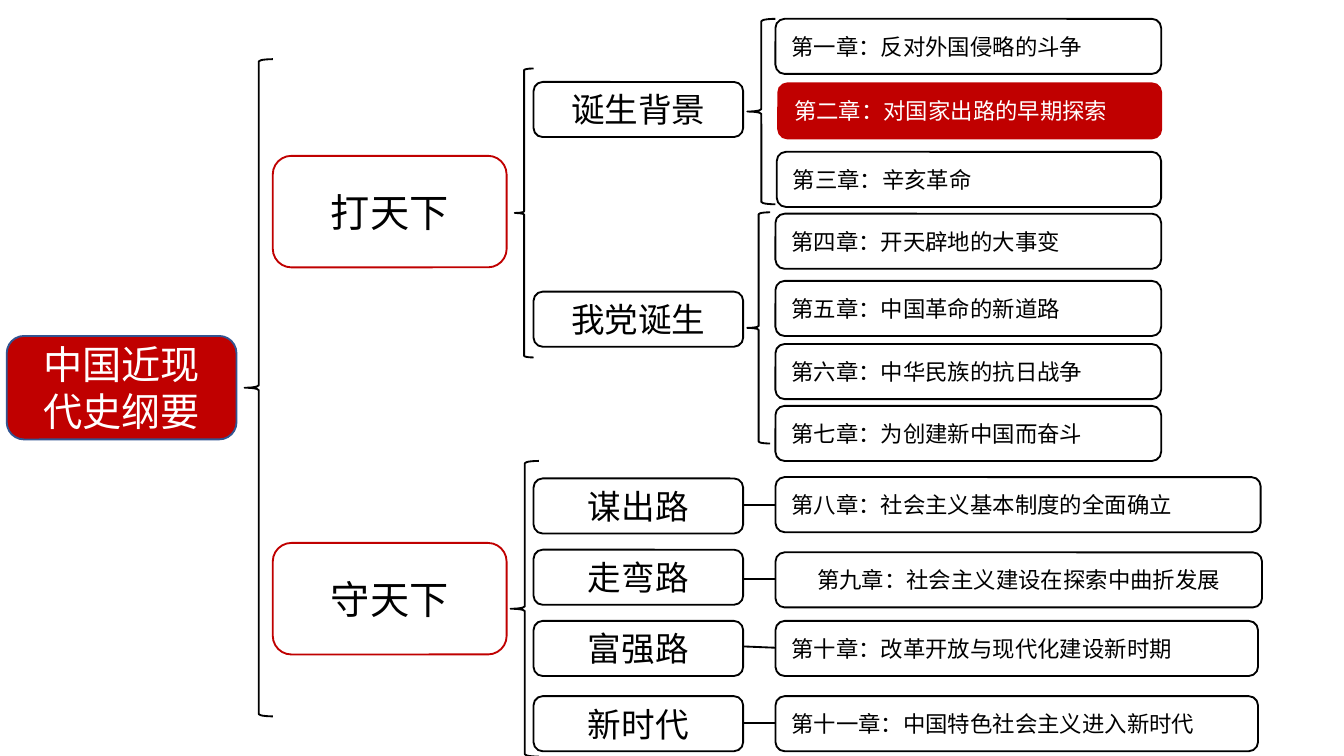
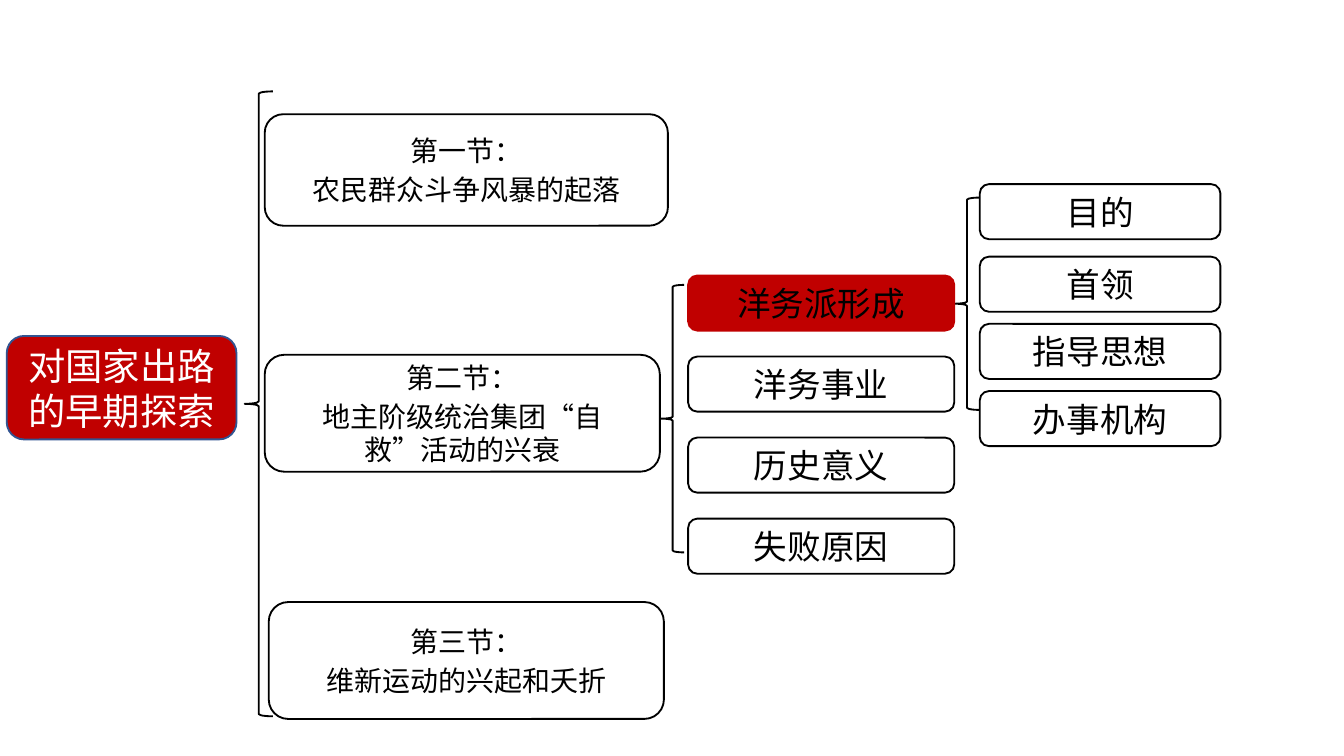
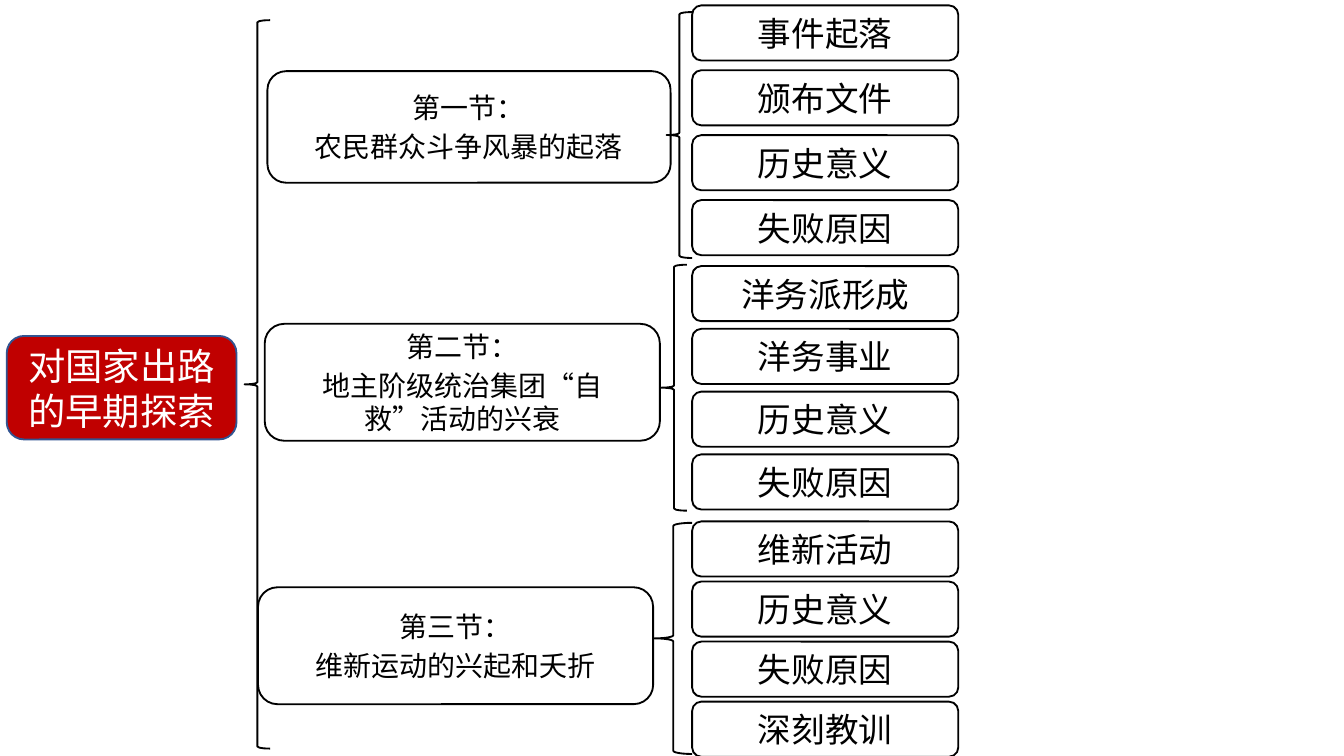
from dataclasses import dataclass

from lxml.etree import SubElement
from pptx import Presentation
from pptx.dml.color import RGBColor
from pptx.enum.shapes import MSO_CONNECTOR, MSO_SHAPE
from pptx.enum.text import MSO_ANCHOR, PP_ALIGN
from pptx.oxml.ns import qn
from pptx.util import Inches, Pt


@dataclass(frozen=True)
class Theme:
    """Colours, type sizes and measures shared by all slides."""

    font: str = "Noto Sans CJK SC"
    red: str = "C00000"
    blue: str = "325491"
    black: str = "000000"
    white: str = "FFFFFF"
    course_size: float = 21
    chapter_title_size: float = 20
    topic_size: float = 18
    section_size: float = 15
    chapter_size: float = 12
    line_width: float = 1
    bar_height: float = 4.1


@dataclass(frozen=True)
class BoxStyle:
    """Look of one kind of box in the outline tree."""

    size: float
    fill: str | None = None
    line: str = "000000"
    color: str = "000000"
    align: PP_ALIGN = PP_ALIGN.CENTER


THEME = Theme()
COURSE = BoxStyle(THEME.course_size, THEME.red, THEME.blue, THEME.white)
CHAPTER_TITLE = BoxStyle(THEME.chapter_title_size, THEME.red, THEME.blue, THEME.white)
ERA = BoxStyle(THEME.course_size, THEME.white, THEME.red)
STAGE = BoxStyle(THEME.topic_size, THEME.white)
TOPIC = BoxStyle(THEME.topic_size)
CURRENT_TOPIC = BoxStyle(THEME.topic_size, THEME.red, THEME.red)
SECTION = BoxStyle(THEME.section_size, THEME.white)
CHAPTER = BoxStyle(THEME.chapter_size, THEME.white, align=PP_ALIGN.LEFT)
CENTRED_CHAPTER = BoxStyle(THEME.chapter_size, THEME.white)
CURRENT_CHAPTER = BoxStyle(THEME.chapter_size, THEME.red, THEME.red, THEME.white, PP_ALIGN.LEFT)

SECTIONS = (
    ("第一节：", "农民群众斗争风暴的起落"),
    ("第二节：", "地主阶级统治集团“自救”活动的兴衰"),
    ("第三节：", "维新运动的兴起和夭折"),
)
CHAPTERS = (
    ("第一章：反对外国侵略的斗争", 57.7, 1.4, 28.7, CHAPTER),
    ("第二章：对国家出路的早期探索", 57.9, 6.2, 28.5, CURRENT_CHAPTER),
    ("第三章：辛亥革命", 57.8, 11.3, 28.6, CHAPTER),
    ("第四章：开天辟地的大事变", 57.7, 15.9, 28.7, CHAPTER),
    ("第五章：中国革命的新道路", 57.7, 20.9, 28.7, CHAPTER),
    ("第六章：中华民族的抗日战争", 57.7, 25.6, 28.7, CHAPTER),
    ("第七章：为创建新中国而奋斗", 57.7, 30.2, 28.7, CHAPTER),
    ("第八章：社会主义基本制度的全面确立", 57.7, 35.5, 36.1, CHAPTER),
    ("第九章：社会主义建设在探索中曲折发展", 57.7, 41.1, 36.2, CENTRED_CHAPTER),
    ("第十章：改革开放与现代化建设新时期", 57.7, 46.2, 35.9, CHAPTER),
    ("第十一章：中国特色社会主义进入新时代", 57.7, 51.8, 35.9, CHAPTER),
)


def grid(*cells):
    """Turn counts of grid cells, each a tenth of an inch, into lengths."""
    return [Inches(cell / 10) for cell in cells]


def set_line(shape, color):
    """Give a shape or connector the shared line width and a colour."""
    shape.line.color.rgb = RGBColor.from_string(color)
    shape.line.width = Pt(THEME.line_width)


def write_paragraph(paragraph, text, style):
    """Write one paragraph in the type of a box style."""
    paragraph.text = text
    paragraph.alignment = style.align
    font = paragraph.font
    font.name = THEME.font
    font.size = Pt(style.size)
    font.color.rgb = RGBColor.from_string(style.color)
    defaults = paragraph._p.pPr.find(qn("a:defRPr"))
    SubElement(defaults, qn("a:ea"), typeface=THEME.font)


def add_box(slide, lines, place, style):
    """Add a rounded box with one paragraph for each line."""
    shape = slide.shapes.add_shape(MSO_SHAPE.ROUNDED_RECTANGLE, *grid(*place))
    shape.shadow.inherit = False
    set_line(shape, style.line)
    if style.fill:
        shape.fill.solid()
        shape.fill.fore_color.rgb = RGBColor.from_string(style.fill)
    else:
        shape.fill.background()
    frame = shape.text_frame
    frame.word_wrap = True
    frame.vertical_anchor = MSO_ANCHOR.MIDDLE
    for index, line in enumerate(lines):
        paragraph = frame.add_paragraph() if index else frame.paragraphs[0]
        write_paragraph(paragraph, line, style)
        if index:
            paragraph.space_before = Pt(style.size * 0.2)


def add_bars(slide, texts, left, tops, width, style):
    """Add a column of bars of one width."""
    for text, top in zip(texts, tops):
        add_box(slide, [text], (left, top, width, THEME.bar_height), style)


def even_tops(first, pitch, count):
    """Return the tops of evenly spaced bars."""
    return [first + pitch * index for index in range(count)]


def add_brace(slide, *place):
    """Add a left brace that gathers a group of boxes."""
    shape = slide.shapes.add_shape(MSO_SHAPE.LEFT_BRACE, *grid(*place))
    shape.shadow.inherit = False
    shape.fill.background()
    set_line(shape, THEME.black)


def add_link(slide, *ends):
    """Add a straight line between two boxes."""
    connector = slide.shapes.add_connector(MSO_CONNECTOR.STRAIGHT, *grid(*ends))
    set_line(connector, THEME.black)
    SubElement(connector._element.spPr, qn("a:effectLst"))


def add_outline_slide(presentation, root, style):
    """Add a blank slide with the root box of its tree."""
    slide = presentation.slides.add_slide(presentation.slide_layouts[6])
    add_box(slide, [root], (0.5, 25, 17.1, 7.7), style)
    return slide


def add_sections(slide, places):
    """Add the three section boxes of the chapter."""
    for lines, place in zip(SECTIONS, places):
        add_box(slide, lines, place, SECTION)


def build_course_slide(presentation):
    """Build the tree of the whole course."""
    slide = add_outline_slide(presentation, "中国近现代史纲要", COURSE)
    add_brace(slide, 18.2, 4.4, 2.1, 48.9)
    for era, top in (("打天下", 11.6), ("守天下", 40.4)):
        add_box(slide, [era], (20.3, top, 17.4, 8.3), ERA)
    add_brace(slide, 38.3, 5.1, 1.4, 21.5)
    add_brace(slide, 38, 34.3, 2.1, 22)
    stages = ("诞生背景", "我党诞生", "谋出路", "走弯路", "富强路", "新时代")
    add_bars(slide, stages, 39.7, (6.1, 21.7, 35.6, 40.9, 46.2, 51.8), 15.6, STAGE)
    add_brace(slide, 55.6, 1.4, 2.1, 13.8)
    add_brace(slide, 55.6, 15.8, 1.7, 17.2)
    for text, left, top, width, style in CHAPTERS:
        add_box(slide, [text], (left, top, width, THEME.bar_height), style)
    for start, end in ((37.6, 37.6), (43.1, 43.1), (48.2, 48.1), (53.8, 53.8)):
        add_link(slide, 57.7, start, 55.3, end)


def build_current_topic_slide(presentation):
    """Build the chapter tree opened at its current topic."""
    slide = add_outline_slide(presentation, "对国家出路的早期探索", CHAPTER_TITLE)
    add_brace(slide, 18.2, 6.8, 2.1, 46.5)
    add_sections(slide, ((19.7, 8.5, 30, 8.3), (19.7, 26.4, 29.4, 8.7), (20, 44.8, 29.4, 8.7)))
    add_brace(slide, 71, 14.7, 1.9, 15.8)
    tops = even_tops(20.5, 6.03, 4)
    add_bars(slide, ["洋务派形成"], 51.2, tops[:1], 19.8, CURRENT_TOPIC)
    add_bars(slide, ("洋务事业", "历史意义", "失败原因"), 51.2, tops[1:], 19.8, TOPIC)
    add_brace(slide, 49.2, 21.2, 1.7, 19.9)
    details = ("目的", "首领", "指导思想", "办事机构")
    add_bars(slide, details, 72.9, (13.7, 19.1, 24.1, 29.1), 17.9, TOPIC)


def build_chapter_slide(presentation):
    """Build the chapter tree with the topics of every section."""
    slide = add_outline_slide(presentation, "对国家出路的早期探索", CHAPTER_TITLE)
    add_brace(slide, 18.2, 1.5, 1.9, 54.2)
    add_sections(slide, ((19.9, 5.3, 30, 8.3), (19.7, 24.1, 29.4, 8.7), (19.2, 43.7, 29.4, 8.7)))
    groups = (
        (("事件起落", "颁布文件", "历史意义", "失败原因"), 0.4, 4.83, (49.6, 0.9, 1.9, 18.3)),
        (("洋务派形成", "洋务事业", "历史意义", "失败原因"), 19.8, 4.67, (49.2, 19.7, 1.9, 18.3)),
        (("维新活动", "历史意义", "失败原因", "深刻教训"), 38.8, 4.47, (48.7, 38.9, 2.8, 17.2)),
    )
    for topics, first, pitch, brace in groups:
        add_brace(slide, *brace)
        add_bars(slide, topics, 51.5, even_tops(first, pitch, len(topics)), 19.8, TOPIC)


def main():
    """Build and save the presentation."""
    presentation = Presentation()
    presentation.slide_width, presentation.slide_height = grid(100, 56.25)
    build_course_slide(presentation)
    build_current_topic_slide(presentation)
    build_chapter_slide(presentation)
    presentation.save("out.pptx")


if __name__ == "__main__":
    main()
